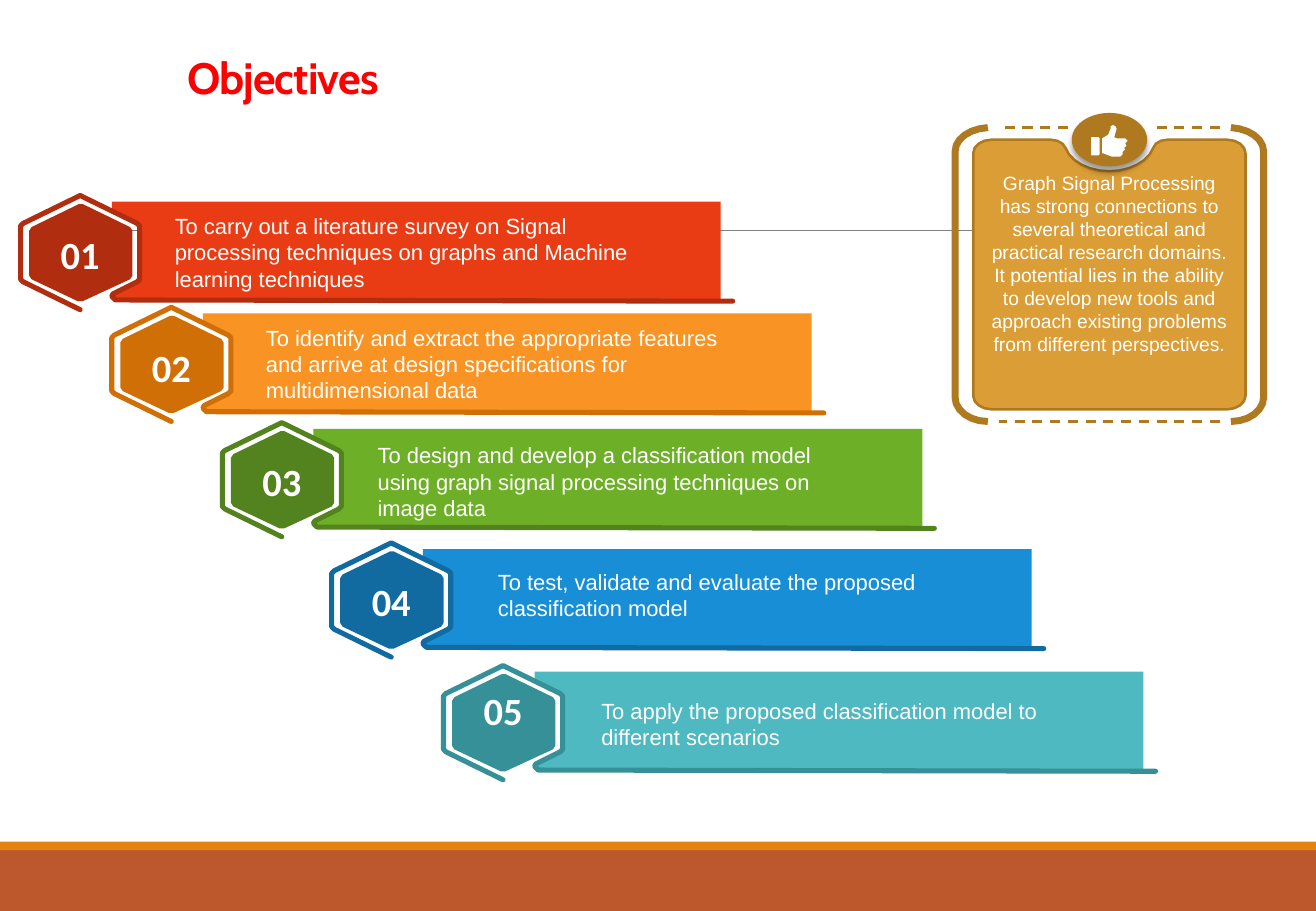
import pptx
import pptx.util
import pptx.dml.color
import pptx.enum.dml
import pptx.enum.shapes
import pptx.enum.text
import pptx.oxml.ns
import lxml.etree
from dataclasses import dataclass

PX = 9144  # EMU in one px; 100 px make an inch
PAGE_WIDTH, PAGE_HEIGHT = 1083, 750
CURVE_STEP, MOST_STEPS = 4, 6  # px covered by one step of a curve, steps at most
ALIGN = pptx.enum.text.PP_ALIGN
ANCHOR = pptx.enum.text.MSO_ANCHOR
SHAPE = pptx.enum.shapes.MSO_SHAPE


@dataclass(frozen=True)
class Theme:
    white: str = "FFFFFF"
    title: str = "FF0000"
    rule: str = "808080"
    footer: str = "BD582C"
    footer_edge: str = "E48312"
    card: str = "DB9E36"
    card_dark: str = "AE791F"
    body_font: str = "Arial"
    number_font: str = "Calibri"
    title_font: str = "Cabin"
    title_size: float = 26
    number_size: float = 22.8
    body_size: float = 13
    card_size: float = 11.4


THEME = Theme()

# Outlines: a pair is a corner, six numbers are a cubic curve.
BAR = [(576, 4), (576, 86), (79, 85), (75, 82), (77, 79), (96, 70), (98, 67), (98, 24),
       (96, 21), (75, 11), (75, 4)]
RIBBON = [(586, 86), (78, 85), (75, 82), (76, 80), (96, 70), (98, 68), (98, 24), (96, 22),
          (51, 0), (49, -1), (47, 0), (2, 22), (0, 24), (0, 68), (2, 70), (49, 93)]
HEXAGON = [(92, 65), (92, 28), (90, 25), (51, 6), (48, 6), (9, 25), (7, 28), (7, 65),
           (9, 68), (47, 86), (51, 86), (90, 68)]
BRACKET = [(27, 254), (12, 254, 0, 245, 0, 234), (0, 32), (0, 21, 12, 13, 27, 12)]
PANEL = [(239, 33), (239, 233), (239, 239, 232, 244, 224, 244), (30, 244),
         (22, 244, 15, 239, 15, 233), (15, 33), (15, 27, 22, 22, 30, 22), (79, 22),
         (84, 22, 90, 25, 91, 29), (95, 40, 110, 48, 127, 48), (144, 48, 159, 40, 163, 29),
         (164, 25, 169, 22, 175, 22), (224, 22), (232, 22, 239, 27, 239, 33)]
CUFF = [(112, 20), (118, 20), (119, 21), (119, 34), (118, 35), (112, 35)]
HAND = [(130, 10), (132, 11), (133, 13), (131, 20), (133, 21), (140, 21), (142, 23), (140, 25),
        (141, 27), (139, 29), (140, 30), (138, 32), (138, 34), (136, 36), (129, 36), (121, 33),
        (121, 21), (126, 18), (128, 13), (128, 11)]

# Left, top, colour, dark colour, text box within the banner, number top, text
OBJECTIVES = [
    (17, 162, "EA3C14", "B02D0F", (117, 8, 413, 76), 23,
     "To carry out a literature survey on Signal processing techniques on graphs "
     "and Machine learning techniques"),
    (92, 254, "F99324", "D06F06", (117, 8, 413, 76), 24,
     "To identify and extract the appropriate features and arrive at design "
     "specifications for multidimensional data"),
    (183, 349, "6EAF28", "53831E", (118, 10, 413, 76), 23,
     "To design and develop a classification model using graph signal processing "
     "techniques on image data"),
    (273, 448, "178ED6", "116AA0", (127, 15, 387, 54), 23,
     "To test, validate and evaluate the proposed classification model"),
    (365, 549, "4EB9C1", "359097", (120, 20, 399, 54), 12,
     "To apply the proposed classification model to different scenarios"),
]
CARD_TEXT = ("Graph Signal Processing has strong connections to several theoretical and "
             "practical research domains. It potential lies in the ability to develop new tools "
             "and approach existing problems from different perspectives.")


def rgb(color):
    return pptx.dml.color.RGBColor.from_string(color)


def flatten(outline):
    """Turn corners and cubic curves into a list of points."""
    points = [outline[0]]
    for part in outline[1:]:
        if len(part) == 2:
            points.append(part)
            continue
        controls = [points[-1], part[:2], part[2:4], part[4:]]
        span = max(abs(part[4] - points[-1][0]), abs(part[5] - points[-1][1]))
        steps = min(MOST_STEPS, max(1, round(span / CURVE_STEP)))
        for step in range(1, steps + 1):
            t = step / steps
            weights = ((1 - t) ** 3, 3 * t * (1 - t) ** 2, 3 * t * t * (1 - t), t ** 3)
            points.append(tuple(sum(w * c[axis] for w, c in zip(weights, controls))
                                for axis in (0, 1)))
    return points


def paint(shape, fill=None, line=None, width=1):
    shape.shadow.inherit = False
    if fill:
        shape.fill.solid()
        shape.fill.fore_color.rgb = rgb(fill)
    else:
        shape.fill.background()
    if line:
        shape.line.color.rgb = rgb(line)
        shape.line.width = pptx.util.Pt(width)
    else:
        shape.line.fill.background()


def add_outline(page, left, top, outlines, closed=True, **style):
    contours = [[(round((left + x) * PX), round((top + y) * PX)) for x, y in flatten(outline)]
                for outline in outlines]
    builder = page.shapes.build_freeform(*contours[0][0], scale=1.0)
    for index, points in enumerate(contours):
        if index:
            builder.move_to(*points[0])
        builder.add_line_segments(points[1:], close=closed)
    shape = builder.convert_to_shape()
    paint(shape, **style)
    return shape


def add_preset(page, kind, box, fill):
    shape = page.shapes.add_shape(kind, *(value * PX for value in box))
    paint(shape, fill=fill)
    return shape


def add_rule(page, start, end, color, width):
    ends = (value * PX for value in (*start, *end))
    rule = page.shapes.add_connector(pptx.enum.shapes.MSO_CONNECTOR.STRAIGHT, *ends)
    rule.line.color.rgb = rgb(color)
    rule.line.width = pptx.util.Pt(width)
    lxml.etree.SubElement(rule._element.spPr, pptx.oxml.ns.qn("a:effectLst"))
    return rule


def write(shape, text, font, size, color=THEME.white, bold=False, align=ALIGN.LEFT,
          anchor=ANCHOR.TOP, insets=(10, 5, 10, 5)):
    frame = shape.text_frame
    frame.word_wrap = True
    frame.vertical_anchor = anchor
    frame.margin_left, frame.margin_top, frame.margin_right, frame.margin_bottom = (
        inset * PX for inset in insets)
    para = frame.paragraphs[0]
    para.add_run().text = text
    para.alignment = align
    para.font.name, para.font.size, para.font.bold = font, pptx.util.Pt(size), bold
    para.font.color.rgb = rgb(color)
    return para


def add_text(page, box, text, font, size, **style):
    shape = page.shapes.add_textbox(*(value * PX for value in box))
    return write(shape, text, font, size, **style)


def add_footer(page, top, height, edge):
    add_preset(page, SHAPE.RECTANGLE, (0, top + edge, PAGE_WIDTH, height - edge), THEME.footer)
    add_preset(page, SHAPE.RECTANGLE, (0, top, PAGE_WIDTH, edge), THEME.footer_edge)


def add_title(page, box):
    para = add_text(page, box, "Objectives", THEME.title_font, THEME.title_size,
                    color=THEME.title, bold=True, insets=(8, 4, 8, 4))
    para.line_spacing = 0.85
    para.runs[0]._r.get_or_add_rPr().set("spc", "-50")


def add_objective(page, number, left, top, color, dark, text_box, number_top, text):
    add_outline(page, left, top, [BAR], fill=color)
    ribbon = add_outline(page, left, top, [RIBBON], closed=False, line=dark, width=3)
    ribbon.line._get_or_add_ln().set("cap", "rnd")
    add_outline(page, left, top, [HEXAGON], fill=dark)
    x, y, width, height = text_box
    add_text(page, (left + x, top + y, width, height), text, THEME.body_font, THEME.body_size)
    add_text(page, (left + 12, top + number_top, 74, 48), f"{number:02}", THEME.number_font,
             THEME.number_size, bold=True, align=ALIGN.CENTER)


def add_card(page, left, top):
    for start, end, y in ((93, 36, 12), (218, 161, 12), (218, 36, 254)):
        rule = add_rule(page, (left + start, top + y), (left + end, top + y), THEME.card_dark, 1.5)
        rule.line.dash_style = pptx.enum.dml.MSO_LINE.DASH
    mirrored = [tuple(254 - value if index % 2 == 0 else value
                      for index, value in enumerate(part)) for part in BRACKET]
    for bracket in (mirrored, BRACKET):
        add_outline(page, left, top, [bracket], closed=False, line=THEME.card_dark, width=4.11)
    panel = add_outline(page, left, top, [PANEL], fill=THEME.card, line=THEME.card_dark, width=1.5)
    write(panel, CARD_TEXT, THEME.body_font, THEME.card_size, align=ALIGN.CENTER,
          anchor=ANCHOR.MIDDLE, insets=(10, 5, 10, 23))
    badge = add_preset(page, SHAPE.OVAL, (left + 96, top, 62, 44), THEME.card_dark)
    add_drop_shadow(badge)
    add_outline(page, left, top, [CUFF, HAND], fill=THEME.white)


def add_drop_shadow(shape):
    qn = pptx.oxml.ns.qn
    effects = shape._element.spPr.find(qn("a:effectLst"))
    shadow = lxml.etree.SubElement(effects, qn("a:outerShdw"), blurRad="50800", dist="38100",
                                   dir="5400000", rotWithShape="0")
    color = lxml.etree.SubElement(shadow, qn("a:srgbClr"), val="000000")
    lxml.etree.SubElement(color, qn("a:alpha"), val="40000")


def main():
    deck = pptx.Presentation()
    deck.slide_width, deck.slide_height = PAGE_WIDTH * PX, PAGE_HEIGHT * PX
    page = deck.slides.add_slide(deck.slide_layouts[6])
    add_footer(page, 693, 57, 7)
    add_rule(page, (106, 190), (992, 190), THEME.rule, 0.5)
    for number, objective in enumerate(OBJECTIVES, 1):
        add_objective(page, number, *objective)
    add_title(page, (146, 44, 792, 56))
    add_card(page, 786, 93)
    deck.save("out.pptx")


if __name__ == "__main__":
    main()
